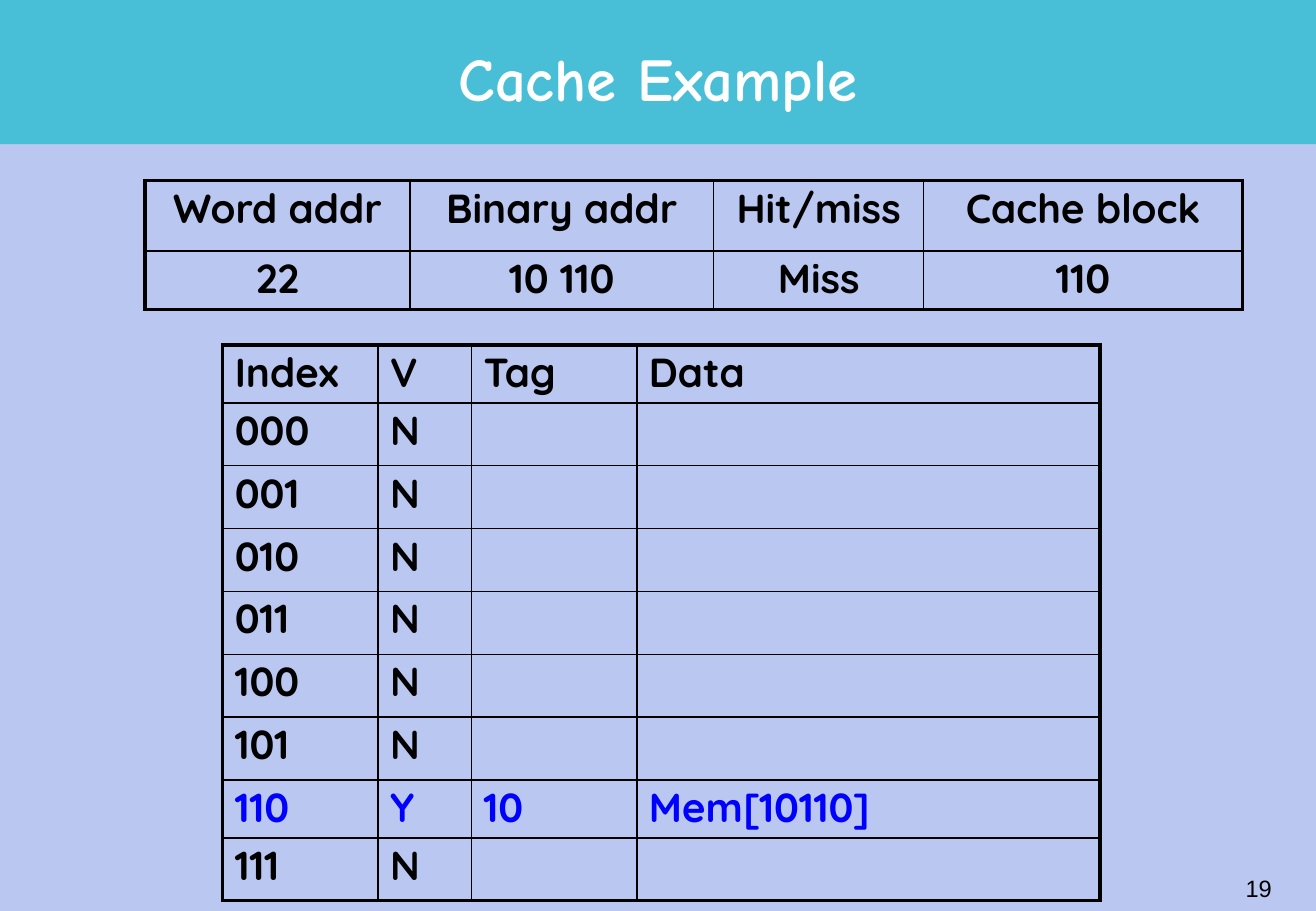
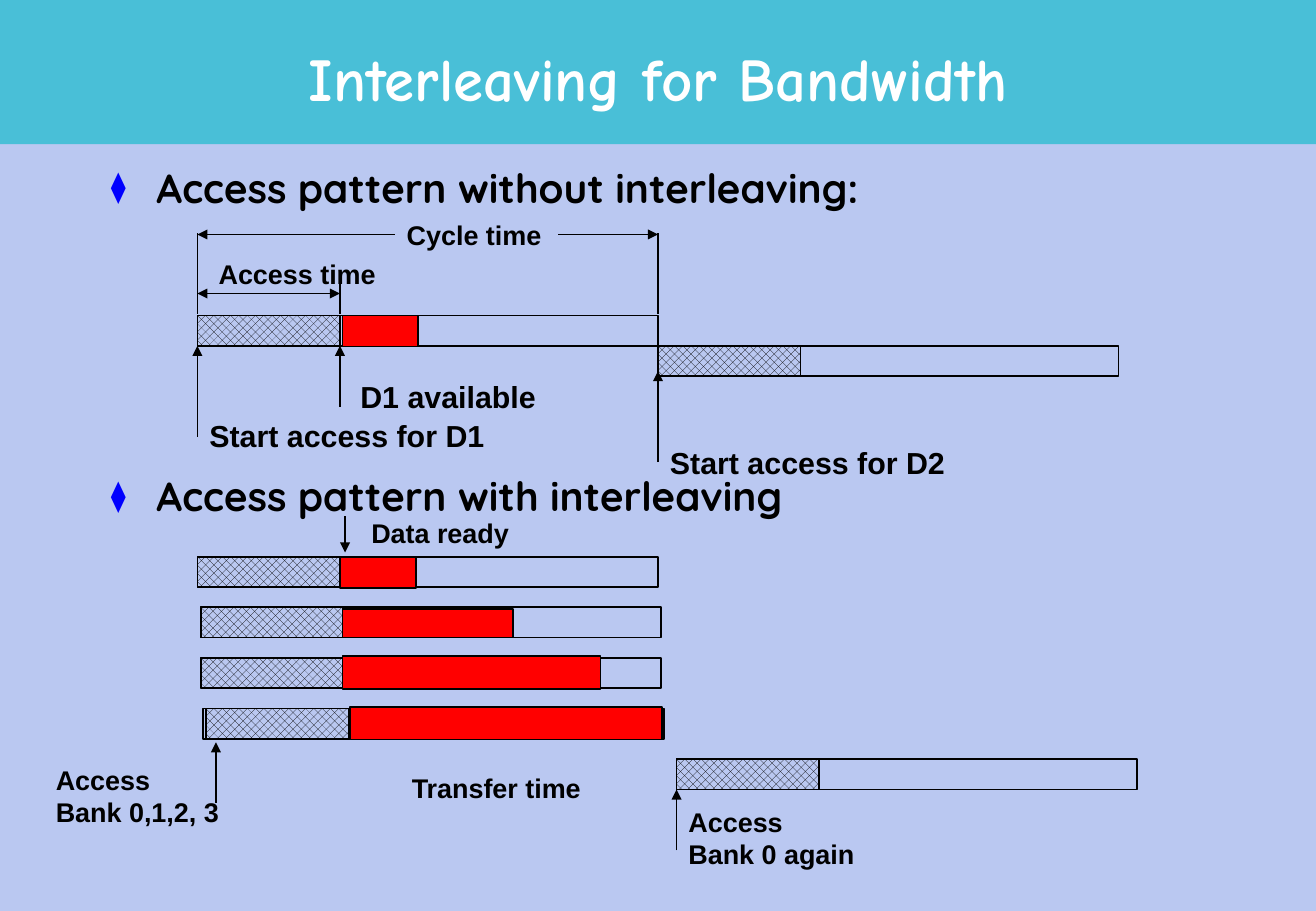
"""Build two lecture slides on cache lookup and memory interleaving."""
from lxml import etree
from pptx import Presentation
from pptx.dml.color import RGBColor
from pptx.enum.dml import MSO_PATTERN
from pptx.enum.shapes import MSO_CONNECTOR, MSO_SHAPE
from pptx.enum.text import MSO_ANCHOR, MSO_AUTO_SIZE, PP_ALIGN
from pptx.oxml.ns import qn
from pptx.util import Pt

BLACK = RGBColor(0, 0, 0)
WHITE = RGBColor(255, 255, 255)
BLUE = RGBColor(0, 0, 255)
RED = RGBColor(255, 0, 0)
PALE = RGBColor(0xBA, 0xC8, 0xF1)
TEAL = RGBColor(0x49, 0xBF, 0xD7)
WIDTH, HEIGHT, BAND_H = 780, 540, 85.5
TITLE_FONT, BODY_FONT, LABEL_FONT = "Comic Neue", "Quicksand", "Arial"

ACCESS = [
    ("Word addr", "Binary addr", "Hit/miss", "Cache block"),
    ("22", "10 110", "Miss", "110"),
]
ACCESS_COLS, ACCESS_ROWS = (157, 180, 124.5, 189), (42, 34.5)

FILLED = {"110": ("Y", "10", "Mem[10110]")}
CACHE = [("Index", "V", "Tag", "Data")] + [
    (index, *FILLED.get(index, ("N", "", "")))
    for index in (f"{n:03b}" for n in range(8))
]
CACHE_COLS = (92, 55.5, 98, 274.5)
CACHE_ROWS = [34.2 if row[3] else 37.3 for row in CACHE]

BULLETS = ["Access pattern without interleaving:", "Access pattern with interleaving"]
BULLET_GAP = 157

CYCLE_W, ACCESS_W, BAR_H = 273, 84.5, 18
START, READY, NEXT = 117, 201.5, 390
BARS = [
    (START, 187, 0), (NEXT, 205, 0), (START, 330, 0), (119, 360, 0),
    (119, 390, 0), (120.5, 420, 1.5), (401, 450, 0),
]
TRANSFERS = [
    (203, 187, 45, 18.5), (READY, 330, 45, 18.5), (203, 361, 101, 17),
    (203, 389, 153, 19.5), (207.5, 419, 185, 19.5),
]
LINES = [
    (START, 259, START, 205, "tail"),
    (READY, 241, READY, 205, "tail"),
    (NEXT, 274, NEXT, 220, "tail"),
    (START, 186, START, 138, ""),
    (NEXT, 186, NEXT, 138, ""),
    (READY, 186, READY, 168, ""),
    (START, 139, 234, 139, "head"),
    (331, 139, NEXT, 139, "tail"),
    (START, 174, READY, 174, "head tail"),
    (128, 476, 128, 440, "tail"),
    (401, 504, 401, 468, "tail"),
    (204.5, 306, 204.5, 327.5, "tail"),
]
LABELS = [
    ("D1 available", 206.5, 220.5, 128, 18),
    ("Start access for D1", START, 244, 192, 18),
    ("Start access for D2", NEXT, 259.5, 192, 18),
    ("Cycle time", 234, 126, 102, 16),
    ("Access time", 122.5, 149, 116.5, 16),
    ("Access\nBank 0 again", 401, 474, 113, 16),
    ("Access\nBank 0,1,2, 3", 26, 449, 111.5, 16),
    ("Transfer time", 237, 454, 116, 16),
    ("Data ready", 213, 302.5, 96.5, 16),
]


def write(tf, text, font=BODY_FONT, size=24, color=BLACK, bold=True,
          align=PP_ALIGN.LEFT, spacing=0.9):
    """Fill a text frame, one paragraph for each line of text."""
    for i, line in enumerate(text.split("\n")):
        p = tf.add_paragraph() if i else tf.paragraphs[0]
        p.alignment, p.line_spacing = align, spacing
        p.space_before = Pt(0)
        r = p.add_run()
        r.text = line
        r.font.name, r.font.size, r.font.bold = font, Pt(size), bold
        r.font.color.rgb = color


def place(sp, x, y, w, h):
    """Move and size a shape, in points."""
    sp.left, sp.top, sp.width, sp.height = Pt(x), Pt(y), Pt(w), Pt(h)


def add_label(s, text, x, y, w, h, **fmt):
    """Add an unwrapped text box."""
    tf = s.shapes.add_textbox(Pt(x), Pt(y), Pt(w), Pt(h)).text_frame
    tf.word_wrap = False
    write(tf, text, font=LABEL_FONT, spacing=1.0, **fmt)
    return tf


def add_rect(s, x, y, w, h, color, outlined=True, hatched=False):
    """Add a plain or hatched rectangle."""
    sp = s.shapes.add_shape(MSO_SHAPE.RECTANGLE, Pt(x), Pt(y), Pt(w), Pt(h))
    sp.shadow.inherit = False
    if hatched:
        sp.fill.patterned()
        sp.fill.pattern = MSO_PATTERN.PERCENT_50
        sp.fill.fore_color.rgb, sp.fill.back_color.rgb = BLACK, color
    else:
        sp.fill.solid()
        sp.fill.fore_color.rgb = color
    if outlined:
        sp.line.color.rgb, sp.line.width = BLACK, Pt(1)
    else:
        sp.line.fill.background()
    return sp


def add_line(s, x1, y1, x2, y2, heads):
    """Add a straight line with a triangle at each named end."""
    cx = s.shapes.add_connector(MSO_CONNECTOR.STRAIGHT, Pt(x1), Pt(y1), Pt(x2), Pt(y2))
    cx.line.color.rgb, cx.line.width = BLACK, Pt(1)
    ln = cx.line.fill and cx.element.spPr.find(qn("a:ln"))
    for end in heads.split():
        etree.SubElement(ln, qn(f"a:{end}End"), type="triangle")
    etree.SubElement(cx.element.spPr, qn("a:effectLst"))


def set_borders(cell, widths):
    """Draw the left, right, top and bottom borders of a cell."""
    tc_pr = cell._tc.get_or_add_tcPr()
    for side, width in zip("LRTB", widths):
        ln = etree.SubElement(tc_pr, qn(f"a:ln{side}"), w=str(Pt(width)))
        fill = etree.SubElement(ln, qn("a:solidFill"))
        etree.SubElement(fill, qn("a:srgbClr"), val=str(BLACK))


def add_grid(s, rows, x, y, widths, heights, align):
    """Add a table with a heavy frame and a ruled header row."""
    table = s.shapes.add_table(len(rows), len(widths), Pt(x), Pt(y),
                               Pt(sum(widths)), Pt(sum(heights))).table
    table.horz_banding = table.first_row = False
    for col, w in zip(table.columns, widths):
        col.width = Pt(w)
    for row, h in zip(table.rows, heights):
        row.height = Pt(h)
    across = [2.25] + [1] * (len(widths) - 1) + [2.25]
    down = [2.25, 1.5] + [1] * (len(rows) - 2) + [2.25]
    for i, row in enumerate(rows):
        for j, text in enumerate(row):
            cell = table.cell(i, j)
            set_borders(cell, across[j:j + 2] + down[i:i + 2])
            cell.fill.background()
            if text:
                write(cell.text_frame, text, align=align,
                      color=BLUE if "Y" in row else BLACK)


def add_bullet(p):
    """Give a paragraph a blue lozenge and a hanging indent."""
    p_pr = p._p.get_or_add_pPr()
    p_pr.set("marL", str(Pt(27)))
    p_pr.set("indent", str(Pt(-27)))
    color = etree.SubElement(p_pr, qn("a:buClr"))
    etree.SubElement(color, qn("a:srgbClr"), val=str(BLUE))
    etree.SubElement(p_pr, qn("a:buSzPct"), val="75000")
    etree.SubElement(p_pr, qn("a:buChar"), char="⧫")


def start_slide(prs, layout, title):
    """Add a slide with its formatted title."""
    s = prs.slides.add_slide(prs.slide_layouts[layout])
    place(s.shapes.title, 58.5, 13.5, 663, 71.5)
    tf = s.shapes.title.text_frame
    tf.vertical_anchor, tf.auto_size = MSO_ANCHOR.MIDDLE, MSO_AUTO_SIZE.NONE
    write(tf, title, font=TITLE_FONT, size=36, color=WHITE,
          align=PP_ALIGN.CENTER, spacing=0.85)
    return s


def style_master(prs, s):
    """Set the background and move one title band to the master."""
    master = prs.slide_master
    master.background.fill.solid()
    master.background.fill.fore_color.rgb = PALE
    band = add_rect(s, 0, 0, WIDTH, BAND_H, TEAL, outlined=False)
    master.shapes.element.insert(2, band.element)


def build_cache(prs):
    """Build the cache lookup slide."""
    s = start_slide(prs, 5, "Cache Example")
    style_master(prs, s)
    add_grid(s, CACHE, 132, 204.5, CACHE_COLS, CACHE_ROWS, PP_ALIGN.LEFT)
    add_grid(s, ACCESS, 86, 107, ACCESS_COLS, ACCESS_ROWS, PP_ALIGN.CENTER)
    tf = add_label(s, "19", 598, 513, 163, 27, size=14, bold=False,
                   align=PP_ALIGN.RIGHT)
    tf.vertical_anchor = MSO_ANCHOR.MIDDLE


def build_interleaving(prs):
    """Build the interleaving timing slide."""
    s = start_slide(prs, 1, "Interleaving for Bandwidth")
    body = s.placeholders[1]
    place(body, 58.5, 96, 663, 400)
    tf = body.text_frame
    tf.auto_size = MSO_AUTO_SIZE.NONE
    write(tf, "\n".join(BULLETS))
    for p in tf.paragraphs:
        add_bullet(p)
    tf.paragraphs[1].space_before = Pt(BULLET_GAP)
    for x, y, offset in BARS:
        add_rect(s, x, y, CYCLE_W, BAR_H, PALE)
        add_rect(s, x + offset, y, ACCESS_W, BAR_H, PALE, hatched=True)
    for transfer in TRANSFERS:
        add_rect(s, *transfer, RED)
    for line in LINES:
        add_line(s, *line)
    for text, x, y, w, size in LABELS:
        h = 7.2 + 1.2 * size * len(text.split("\n"))
        tf = add_label(s, text, x, y, w, h, size=size)
        tf.auto_size = MSO_AUTO_SIZE.SHAPE_TO_FIT_TEXT


def main():
    """Build and save the presentation."""
    prs = Presentation()
    prs.slide_width, prs.slide_height = Pt(WIDTH), Pt(HEIGHT)
    build_cache(prs)
    build_interleaving(prs)
    prs.save("out.pptx")


if __name__ == "__main__":
    main()
